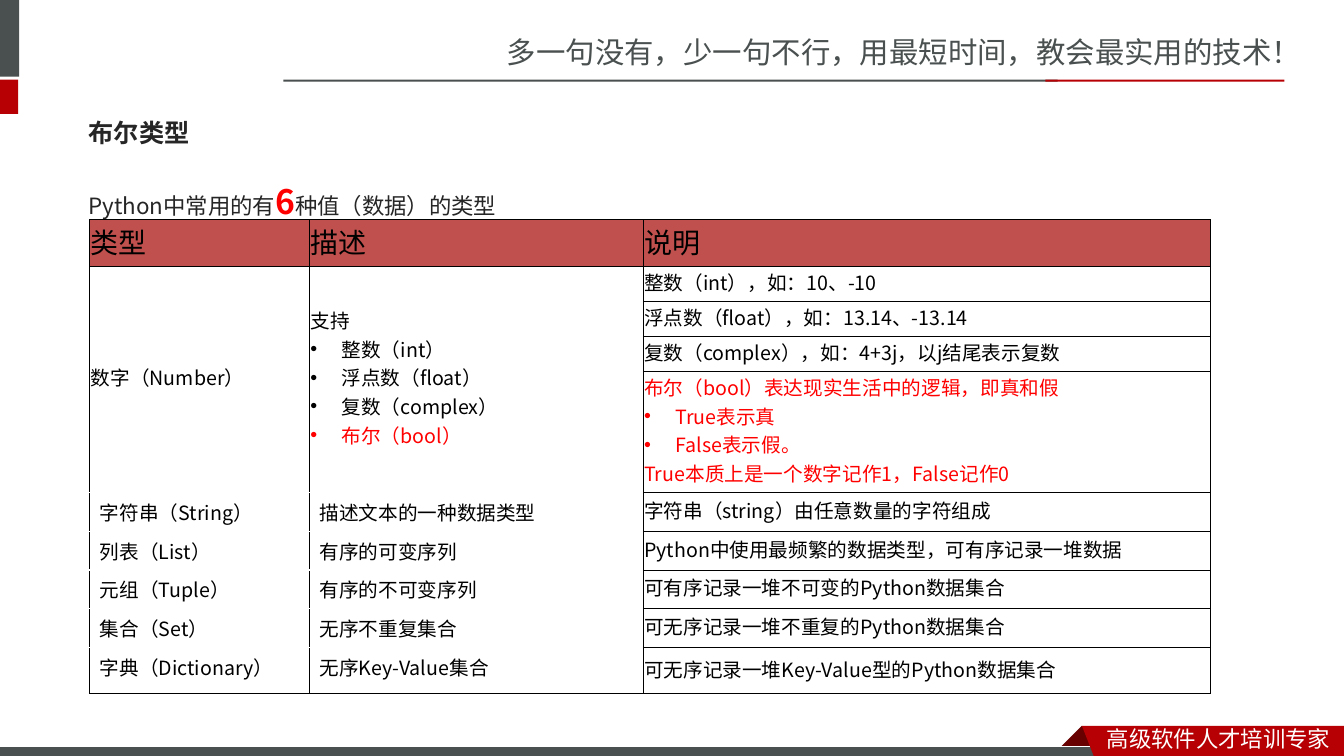
import collections

import lxml.etree
import pptx
import pptx.dml.color
import pptx.enum.shapes
import pptx.enum.text
import pptx.oxml.ns
import pptx.util

Line = collections.namedtuple("Line", "text color bullet", defaults=("000000", False))
Piece = collections.namedtuple("Piece", "text size color bold", defaults=(False,))

GRAY, RED, DARK_RED, WHITE = "49504F", "B60004", "680000", "FFFFFF"
BLACK, INK, ACCENT, HEADER_FILL = "000000", "262626", "FF0000", "C0504D"
MIDDLE = pptx.enum.text.MSO_ANCHOR.MIDDLE
TOP = pptx.enum.text.MSO_ANCHOR.TOP


def rgb(value):
    return pptx.dml.color.RGBColor.from_string(value)


def add_element(parent, tag, **attributes):
    return lxml.etree.SubElement(parent, pptx.oxml.ns.qn(tag), attributes)


class SlideBuilder:
    banner_font = "Noto Sans CJK SC"
    body_font = "Noto Sans CJK JP"

    def __init__(self, presentation):
        self.width = presentation.slide_width
        self.height = presentation.slide_height
        self.slide = presentation.slides.add_slide(presentation.slide_layouts[5])

    def x(self, share):
        return round(self.width * share / 100)

    def y(self, share):
        return round(self.height * share / 100)

    def box(self, left, top, width, height):
        return self.x(left), self.y(top), self.x(width), self.y(height)

    def style_run(self, run, size, color, bold=False, font=body_font):
        run.font.size = pptx.util.Pt(size)
        run.font.bold = bold
        run.font.color.rgb = rgb(color)
        run.font.name = font
        add_element(run.font._element, "a:ea", typeface=font)

    def style_shape(self, shape, fill, line=None):
        shape.shadow.inherit = False
        shape.fill.solid()
        shape.fill.fore_color.rgb = rgb(fill)
        if line:
            shape.line.color.rgb = rgb(line)
            shape.line.width = pptx.util.Pt(0.75)
        else:
            shape.line.fill.background()

    def rectangle(self, area, fill, line=None):
        kind = pptx.enum.shapes.MSO_SHAPE.RECTANGLE
        shape = self.slide.shapes.add_shape(kind, *self.box(*area))
        self.style_shape(shape, fill, line)

    def outline(self, points, fill):
        corners = [(self.x(x), self.y(y)) for x, y in points]
        builder = self.slide.shapes.build_freeform(*corners[0])
        builder.add_line_segments(corners[1:], close=True)
        self.style_shape(builder.convert_to_shape(), fill)

    def title(self, area, text, size, color):
        shape = self.slide.shapes.title
        shape.left, shape.top, shape.width, shape.height = self.box(*area)
        text_frame = shape.text_frame
        text_frame.text = text
        text_frame.vertical_anchor = MIDDLE
        text_frame.auto_size = pptx.enum.text.MSO_AUTO_SIZE.NONE
        paragraph = text_frame.paragraphs[0]
        paragraph.alignment = pptx.enum.text.PP_ALIGN.LEFT
        self.style_run(paragraph.runs[0], size, color, bold=True)

    def text(self, area, pieces, font=body_font, spacing=1.0):
        shape = self.slide.shapes.add_textbox(*self.box(*area))
        shape.text_frame.word_wrap = True
        paragraph = shape.text_frame.paragraphs[0]
        paragraph.line_spacing = spacing
        for piece in pieces:
            run = paragraph.add_run()
            run.text = piece.text
            self.style_run(run, piece.size, piece.color, piece.bold, font)

    def borders(self, cell, top_color, top_width):
        properties = cell._tc.get_or_add_tcPr()
        for side in "LRTB":
            color, width = (top_color, top_width) if side == "T" else (BLACK, 0.5)
            line = add_element(properties, "a:ln" + side, w=str(pptx.util.Pt(width)))
            add_element(add_element(line, "a:solidFill"), "a:srgbClr", val=color)

    def cell(self, cell, lines, size, tight, fill=None):
        if tight:
            self.borders(cell, BLACK, 0.5)
            cell.margin_left = cell.margin_right = cell.margin_top = pptx.util.Inches(0.01)
            cell.margin_bottom = pptx.util.Inches(0.05)
        else:
            self.borders(cell, WHITE, 1)
        cell.vertical_anchor = MIDDLE if tight else TOP
        if fill:
            cell.fill.solid()
            cell.fill.fore_color.rgb = rgb(fill)
        else:
            cell.fill.background()
        cell.text_frame.text = "\n".join(line.text for line in lines)
        for paragraph, line in zip(cell.text_frame.paragraphs, lines):
            if line.bullet:
                indent = pptx.util.Inches(0.31)
                properties = paragraph._p.get_or_add_pPr()
                properties.set("marL", str(indent))
                properties.set("indent", str(-indent))
                add_element(properties, "a:buFont", typeface="Arial")
                add_element(properties, "a:buChar", char="•")
            for run in paragraph.runs:
                self.style_run(run, size, line.color)

    def table(self, left, top, columns, rows, content, merged_rows):
        area = self.box(left, top, sum(columns), sum(rows))
        table = self.slide.shapes.add_table(len(rows), len(columns), *area).table
        table.horz_banding = False
        for column, share in zip(table.columns, columns):
            column.width = self.x(share)
        for row, share in zip(table.rows, rows):
            row.height = self.y(share)
        first, last = merged_rows
        for row, lines_by_column in enumerate(content):
            for column, lines in enumerate(lines_by_column):
                header = row == 0
                tight = row <= last or column == len(columns) - 1
                self.cell(table.cell(row, column), lines, 20 if header else 14,
                          tight, HEADER_FILL if header else None)
        for column in range(len(columns) - 1):
            table.cell(first, column).merge(table.cell(last, column))


HEADERS = ["类型", "描述", "说明"]
NUMBER_SUPPORT = [
    Line("支持"),
    Line("整数（int）", bullet=True),
    Line("浮点数（float）", bullet=True),
    Line("复数（complex）", bullet=True),
    Line("布尔（bool）", ACCENT, True),
]
NUMBER_EXAMPLES = [
    "整数（int），如：10、-10",
    "浮点数（float），如：13.14、-13.14",
    "复数（complex），如：4+3j，以j结尾表示复数",
]
BOOLEAN_NOTES = [
    Line("布尔（bool）表达现实生活中的逻辑，即真和假", ACCENT),
    Line("True表示真", ACCENT, True),
    Line("False表示假。", ACCENT, True),
    Line("True本质上是一个数字记作1，False记作0", ACCENT),
]
OTHER_TYPES = [
    ("字符串（String）", "描述文本的一种数据类型", "字符串（string）由任意数量的字符组成"),
    ("列表（List）", "有序的可变序列", "Python中使用最频繁的数据类型，可有序记录一堆数据"),
    ("元组（Tuple）", "有序的不可变序列", "可有序记录一堆不可变的Python数据集合"),
    ("集合（Set）", "无序不重复集合", "可无序记录一堆不重复的Python数据集合"),
    ("字典（Dictionary）", "无序Key-Value集合", "可无序记录一堆Key-Value型的Python数据集合"),
]


def type_rows():
    details = [[Line(example)] for example in NUMBER_EXAMPLES] + [BOOLEAN_NOTES]
    numbers = [[[], [], detail] for detail in details]
    numbers[0][:2] = [Line("数字（Number）")], NUMBER_SUPPORT
    plain = [[[Line(text)] for text in row] for row in [HEADERS, *OTHER_TYPES]]
    return plain[:1] + numbers + plain[1:]


def main():
    presentation = pptx.Presentation()
    presentation.slide_width = pptx.util.Inches(13.33)
    presentation.slide_height = pptx.util.Inches(7.5)
    builder = SlideBuilder(presentation)

    slogan = Piece("多一句没有，少一句不行，用最短时间，教会最实用的技术！", 21, GRAY)
    builder.text((36.98, 3.83, 63.09, 6.27), [slogan], builder.banner_font)
    builder.rectangle((-0.45, 0, 1.88, 10.13), GRAY)
    builder.rectangle((-0.45, 10.53, 1.8, 4.53), RED)
    builder.rectangle((21.08, 10.53, 57.61, 0.27), GRAY)
    builder.rectangle((77.79, 10.53, 17.78, 0.27), RED)
    builder.outline([(80.5, 96), (82.15, 98.93), (82.07, 99.07),
                     (78.92, 99.07), (78.84, 98.93)], DARK_RED)
    builder.rectangle((-0.08, 98.8, 82.52, 1.6), GRAY, WHITE)
    builder.outline([(80.5, 96), (100, 96), (100, 100.53), (81.47, 100.4)], RED)
    builder.text((81.62, 95.23, 18.38, 4.93),
                 [Piece("高级软件人才培训专家", 16, WHITE)], builder.banner_font)

    builder.title((5.85, 13.73, 87.77, 7.6), "布尔类型", 18, INK)
    builder.text((5.85, 20.63, 87.77, 61.47),
                 [Piece("Python中常用的有", 16, INK), Piece("6", 24, ACCENT, True),
                  Piece("种值（数据）的类型", 16, INK)], spacing=1.5)
    builder.table(6.68, 29.03, [16.35, 24.83, 42.2],
                  [6.22] + [4.63] * 3 + [16] + [5.13] * 4 + [6.08], type_rows(), (1, 4))
    presentation.save("out.pptx")


if __name__ == "__main__":
    main()
